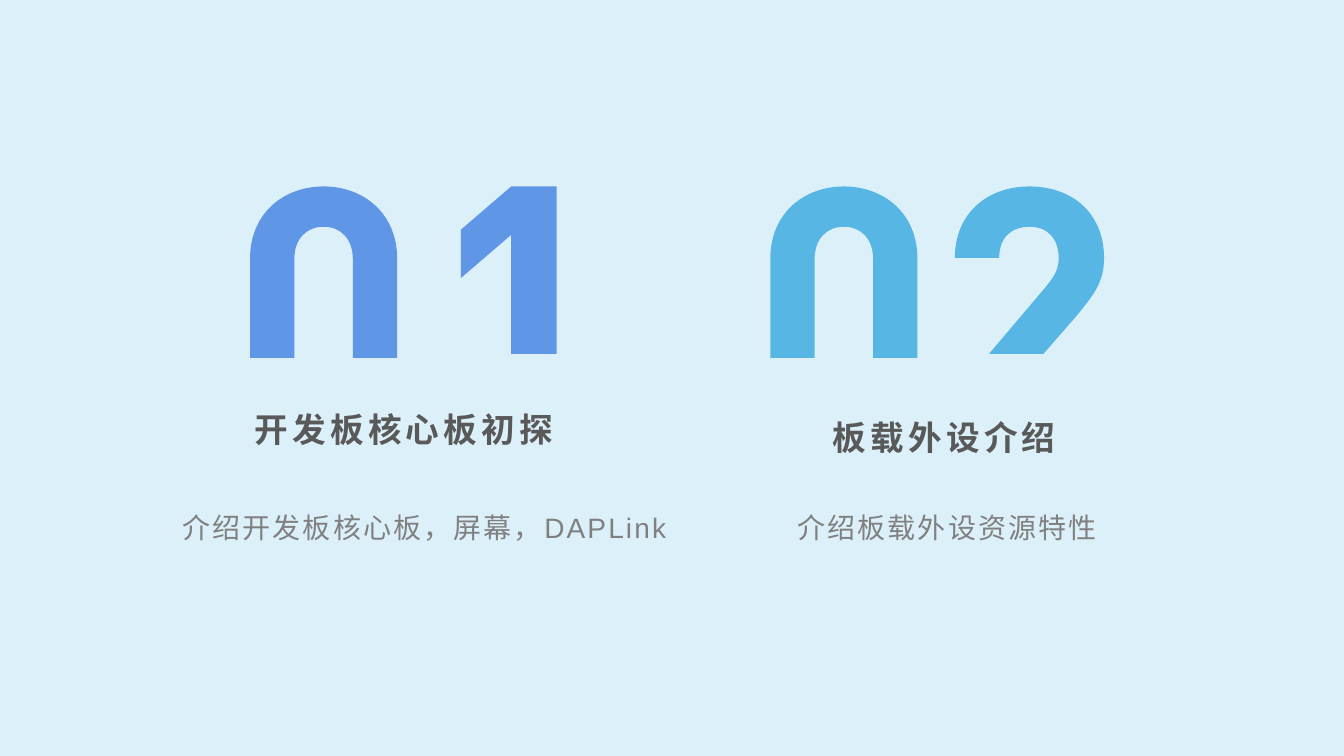
from dataclasses import dataclass

from lxml import etree
from pptx import Presentation
from pptx import util as u
from pptx.dml.color import RGBColor
from pptx.enum import text
from pptx.oxml.ns import qn


@dataclass(frozen=True)
class Theme:
    background: str = "DCF0FA"
    first: str = "6096E6"
    second: str = "58B6E5"
    title: str = "595959"
    body: str = "808080"
    font: str = "Arial"
    title_size: int = 24
    body_size: int = 20
    line_spacing: float = 1.2


THEME = Theme()

# Numeral outlines in inches from their top left corner:
# a pair is a straight step, six numbers are a cubic curve
NUMERALS = {
    "0": [(0.73, 0), (1.12, 0, 1.46, 0.26, 1.46, 0.72), (1.46, 1.7),
          (1.02, 1.7), (1.02, 0.72), (1.02, 0.52, 0.9, 0.4, 0.73, 0.4),
          (0.56, 0.4, 0.44, 0.52, 0.44, 0.72), (0.44, 1.7), (0, 1.7),
          (0, 0.72), (0, 0.26, 0.34, 0, 0.73, 0)],
    "1": [(0.5, 0), (0.95, 0), (0.95, 1.66), (0.5, 1.66), (0.5, 0.48),
          (0, 0.91), (0, 0.43)],
    "2": [(0.74, 0), (1.17, 0, 1.48, 0.27, 1.48, 0.71),
          (1.48, 0.95, 1.38, 1.07, 1.22, 1.27), (0.88, 1.66), (0.34, 1.66),
          (0.9, 1), (0.99, 0.89, 1.03, 0.82, 1.03, 0.71),
          (1.03, 0.53, 0.93, 0.4, 0.74, 0.4),
          (0.59, 0.4, 0.44, 0.48, 0.44, 0.71), (0, 0.71),
          (0, 0.27, 0.32, 0, 0.74, 0)],
}


def add_numeral(s, digit, left, top, color):
    outline = [[u.Inches(v) for v in step] for step in NUMERALS[digit]]
    builder = s.shapes.build_freeform(*outline[0])
    builder.add_line_segments([step[-2:] for step in outline[1:]], close=True)
    sp = builder.convert_to_shape(u.Inches(left), u.Inches(top))
    sp.shadow.inherit = False
    sp.fill.solid()
    sp.fill.fore_color.rgb = RGBColor.from_string(color)
    sp.line.fill.background()
    # Curved steps: put the two control points ahead of the end point
    for segment, step in zip(list(sp._element.iter(qn("a:lnTo"))), outline[1:]):
        if len(step) == 6:
            segment.tag = qn("a:cubicBezTo")
            for i in range(2):
                control = etree.Element(qn("a:pt"), x=str(int(step[2 * i])),
                                        y=str(int(step[2 * i + 1])))
                segment.insert(i, control)


def add_text(s, box, words, size, color, align, anchor, spacing, inset_top=0.0, bold=False):
    tf = s.shapes.add_textbox(*(u.Inches(v) for v in box)).text_frame
    tf.word_wrap = True
    tf.vertical_anchor = anchor
    tf.margin_top = u.Inches(inset_top)
    p = tf.paragraphs[0]
    p.alignment = align
    p.line_spacing = THEME.line_spacing
    r = p.add_run()
    r.text = words
    r.font.name = THEME.font
    r.font.size = u.Pt(size)
    r.font.bold = bold
    r.font.color.rgb = RGBColor.from_string(color)
    # Character spacing in hundredths of a point
    props = r._r.get_or_add_rPr()
    props.set("lang", "zh-CN")
    props.set("spc", str(int(spacing * 100)))


def add_section(s, left, top, number, gap, color, title, title_box, body, body_box):
    """Place a section; each box holds x offset, y offset, width, height."""

    def place(box):
        return left + box[0], top + box[1], box[2], box[3]

    add_text(s, place(title_box), title, THEME.title_size, THEME.title,
             text.PP_ALIGN.CENTER, text.MSO_ANCHOR.MIDDLE, 3, 0.05, True)
    add_text(s, place(body_box), body, THEME.body_size, THEME.body,
             text.PP_ALIGN.JUSTIFY, text.MSO_ANCHOR.TOP, 1.5)
    for i, digit in enumerate(number):
        add_numeral(s, digit, left + i * gap, top, color)


def main():
    prs = Presentation()
    prs.slide_width, prs.slide_height = u.Inches(13.33), u.Inches(7.5)
    s = prs.slides.add_slide(prs.slide_layouts[6])
    s.background.fill.solid()
    s.background.fill.fore_color.rgb = RGBColor.from_string(THEME.background)

    # Left section
    add_section(s, 2.48, 1.85, "01", 2.09, THEME.first,
                "开发板核心板初探", (-0.34, 1.76, 3.73, 1.21),
                "介绍开发板核心板，屏幕，DAPLink", (-0.77, 3.15, 5.26, 0.98))
    # Right section
    add_section(s, 7.64, 1.85, "02", 1.83, THEME.second,
                "板载外设介绍", (-0.54, 1.84, 4.53, 1.21),
                "介绍板载外设资源特性", (0.17, 3.15, 4.96, 0.98))
    prs.save("out.pptx")


if __name__ == "__main__":
    main()
